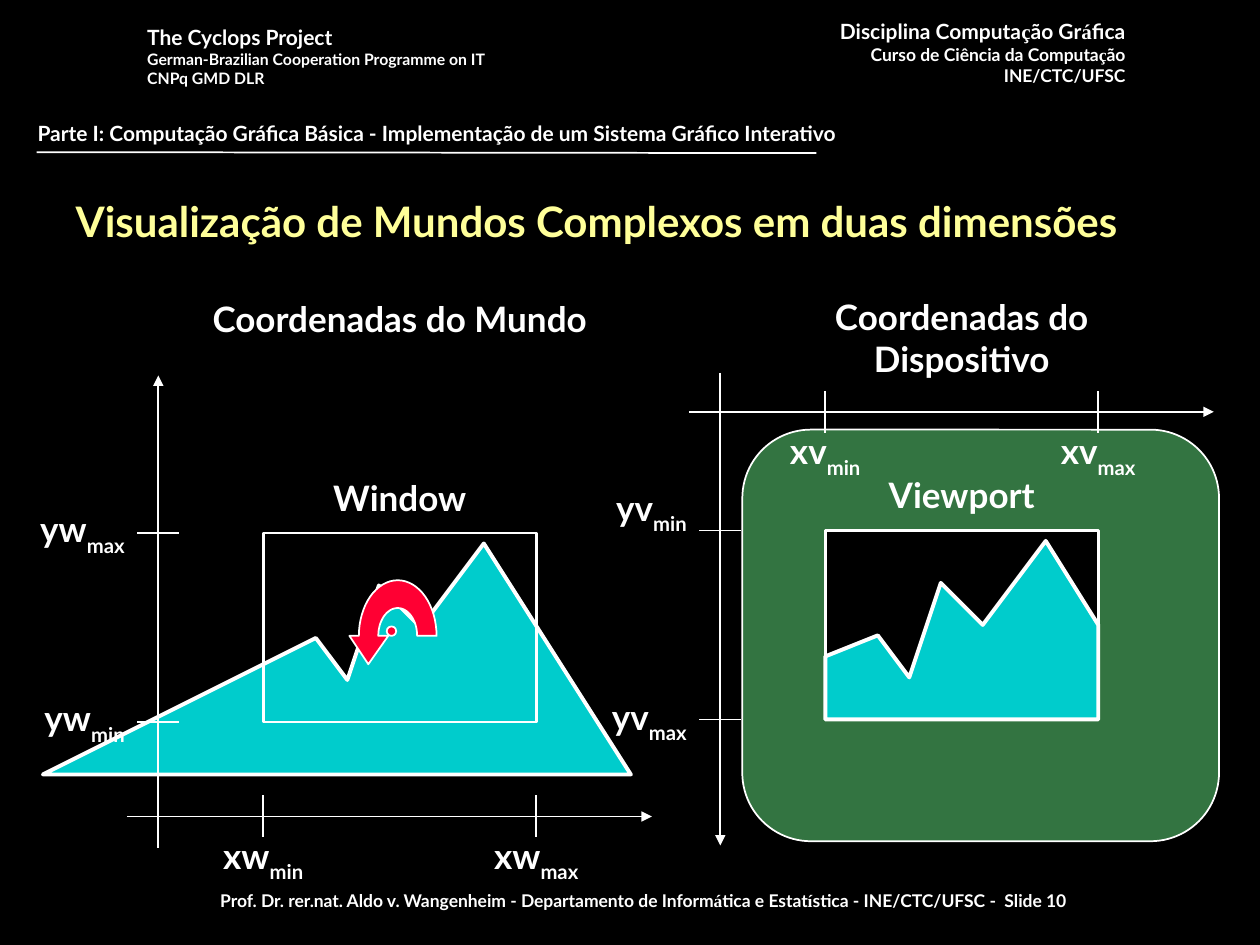
from dataclasses import dataclass
from itertools import groupby
from math import cos, pi, sin

from lxml.etree import SubElement
from pptx import Presentation
from pptx.dml.color import RGBColor
from pptx.enum.shapes import MSO_CONNECTOR as Conn, MSO_SHAPE as Shape
from pptx.enum.text import MSO_ANCHOR as Anchor, PP_ALIGN as Align
from pptx.oxml.ns import qn
from pptx.util import Inches, Pt


@dataclass(frozen=True)
class Theme:
    font: str = "Lato"
    accent_font: str = "Times New Roman"
    back: str = "000000"
    ink: str = "FFFFFF"
    title: str = "FFFF99"
    world: str = "00CCCC"
    screen: str = "66E882"
    arrow: str = "FF0033"
    title_size: float = 24
    label_size: float = 20
    head_size: float = 12
    small_size: float = 10
    tiny_size: float = 9
    thin: float = 1
    frame: float = 1.5
    thick: float = 2.25


@dataclass(frozen=True)
class Grid:
    """Cells of 1/12 inch, counted from a window's top left corner."""
    left: float
    top: float

    def x(self, col):
        return Inches(self.left + col / 12)

    def y(self, row):
        return Inches(self.top + row / 12)

    def box(self, col, row, cols, rows):
        return self.x(col), self.y(row), Inches(cols / 12), Inches(rows / 12)


T = Theme()
WORLD, DEVICE = Grid(2.09, 4.23), Grid(6.55, 4.21)
WIN_COLS, WIN_ROWS = 26, 18
PEAKS = [(5, 10), (8, 14), (11, 5), (15, 9), (21, 1)]


def rgb(value):
    return RGBColor.from_string(value)


def set_font(p, size, color=T.ink):
    p.font.name, p.font.size, p.font.bold = T.font, Pt(size), True
    p.font.color.rgb = rgb(color)


def style(sp, fill, width):
    sp.shadow.inherit = False
    if fill:
        sp.fill.solid()
        sp.fill.fore_color.rgb = rgb(fill)
    else:
        sp.fill.background()
    sp.line.color.rgb = rgb(T.ink)
    sp.line.width = Pt(width)
    return sp


def add_shape(slide, kind, box, fill=None, width=T.thin):
    return style(slide.shapes.add_shape(kind, *box), fill, width)


def add_outline(slide, grid, points, fill, width):
    pts = [(grid.x(c), grid.y(r)) for c, r in points]
    builder = slide.shapes.build_freeform(*pts[0])
    builder.add_line_segments(pts[1:], close=True)
    return style(builder.convert_to_shape(), fill, width)


def add_line(slide, x1, y1, x2, y2, arrow=None):
    ln = slide.shapes.add_connector(Conn.STRAIGHT, x1, y1, x2, y2)
    ln.line.color.rgb = rgb(T.ink)
    ln.line.width = Pt(T.thin)
    props = ln._element.spPr
    if arrow:
        SubElement(props.find(qn("a:ln")), qn(f"a:{arrow}"), type="triangle")
    SubElement(props, qn("a:effectLst"))


def add_text(slide, box, lines, align=Align.LEFT, wrap=False, accents="", before=None):
    """Write (text, size) lines; characters in accents take the accent font."""
    tf = slide.shapes.add_textbox(*box).text_frame
    tf.word_wrap = wrap
    for i, (text, size) in enumerate(lines):
        p = tf.add_paragraph() if i else tf.paragraphs[0]
        p.alignment = align
        if before is not None:
            p.space_before = Pt(before)
        set_font(p, size)
        for accented, chars in groupby(text, lambda ch: ch in accents):
            r = p.add_run()
            r.text = "".join(chars)
            if accented:
                r.font.name = T.accent_font
    return tf


def add_label(slide, box, name, sub="", align=Align.CENTER):
    p = add_text(slide, box, [(name, T.label_size)], align).paragraphs[0]
    if sub:
        r = p.add_run()
        r.text = sub
        r.font._element.set("baseline", "-30000")


def add_page_frame(slide, w, h):
    def share(x, y, cx, cy):
        return int(x * w), int(y * h), int(cx * w), int(cy * h)

    add_text(slide, share(.631, .013, .272, .085),
             [("Disciplina Computação Gráfica", T.head_size),
              ("Curso de Ciência da Computação", T.small_size),
              ("INE/CTC/UFSC", T.small_size)], Align.RIGHT, accents="çá")
    add_text(slide, share(.107, .019, .321, .08),
             [("The Cyclops Project", T.head_size),
              ("German-Brazilian Cooperation Programme on IT", T.tiny_size),
              ("CNPq GMD DLR", T.tiny_size)])
    add_text(slide, share(.069, .935, .883, .039),
             [("Prof. Dr. rer.nat. Aldo v. Wangenheim - Departamento de Informática e "
               "Estatística - INE/CTC/UFSC -  Slide 10", T.small_size)],
             Align.CENTER, wrap=True, accents="áí", before=6.2)
    add_line(slide, *share(.029, .161, .648, .162))
    add_text(slide, share(.02, .121, .95, .04),
             [("Parte I: Computação Gráfica Básica - Implementação de um Sistema "
               "Gráfico Interativo", T.head_size)], wrap=True)

    # Title
    sp = slide.shapes.title
    sp.left, sp.top, sp.width, sp.height = share(.05, .173, .92, .12)
    tf = sp.text_frame
    tf.text = "Visualização de Mundos Complexos em duas dimensões"
    tf.vertical_anchor = Anchor.MIDDLE
    tf.paragraphs[0].alignment = Align.LEFT
    set_font(tf.paragraphs[0], T.title_size, T.title)


def add_axes(slide, g, axis_row, y_arrow):
    add_line(slide, g.x(-10), g.y(-15), g.x(-10), g.y(30), y_arrow)
    add_line(slide, g.x(-13), g.y(axis_row), g.x(37), g.y(axis_row), "tailEnd")
    for col in (0, WIN_COLS):
        add_line(slide, g.x(col), g.y(axis_row - 2), g.x(col), g.y(axis_row + 2))
    for row in (0, WIN_ROWS):
        add_line(slide, g.x(-12), g.y(row), g.x(-8), g.y(row))


def add_labels(slide, g, heading, frame, letter, x_row, y_labels):
    add_label(slide, g.box(-8, -23, 42, 5.3), heading)
    add_label(slide, g.box(4, -6, 18, 5.3), frame)
    for col, sub in ((0, "min"), (WIN_COLS, "max")):
        add_label(slide, g.box(col - 5.5, x_row, 11, 6), "x" + letter, sub)
    for row, sub in y_labels:
        add_label(slide, g.box(-23, row, 11, 6), "y" + letter, sub, Align.RIGHT)


def add_rotation(slide, g):
    """Half-ring arrow around its pivot dot."""
    cx, cy, rx, ry = 12.8, 9.8, 3.7, 5.3
    angles = [pi * i / 32 for i in range(33)]
    inner = [(cx - rx / 2 * cos(a), cy - ry / 2 * sin(a)) for a in angles]
    outer = [(cx + rx * cos(a), cy - ry * sin(a)) for a in angles]
    head = [(8.2, cy), (10, 12.5), (11.9, cy)]
    add_shape(slide, Shape.OVAL, g.box(11.75, 8.9, .9, .9), T.arrow)
    add_outline(slide, g, inner + outer + head, T.arrow, T.thin)


def main():
    prs = Presentation()
    prs.slide_width, prs.slide_height = Inches(10), Inches(7.5)
    slide = prs.slides.add_slide(prs.slide_layouts[5])
    slide.background.fill.solid()
    slide.background.fill.fore_color.rgb = rgb(T.back)
    add_page_frame(slide, prs.slide_width, prs.slide_height)
    window = (0, 0, WIN_COLS, WIN_ROWS)

    # Device: translucent screen, viewport and clipped mountains
    screen = add_shape(slide, Shape.ROUNDED_RECTANGLE,
                       DEVICE.box(-7.9, -9.6, 45.4, 39.2), T.screen)
    color = screen._element.spPr.find(qn("a:solidFill"))[0]
    SubElement(color, qn("a:alpha"), val="50000")
    add_axes(slide, DEVICE, -11.3, "tailEnd")
    add_shape(slide, Shape.RECTANGLE, DEVICE.box(*window), T.back, T.frame)
    clipped = [(26, 18), (0, 18), (0, 12), *PEAKS, (26, 9)]
    add_outline(slide, DEVICE, clipped, T.world, T.thick)
    add_labels(slide, DEVICE, "Coordenadas do Dispositivo", "Viewport", "v",
               -10.2, [(-4.8, "min"), (15.1, "max")])

    # World: whole mountains under the window
    add_outline(slide, WORLD, [(35, 23), (-21, 23), *PEAKS], T.world, T.thick)
    add_shape(slide, Shape.RECTANGLE, WORLD.box(*window), width=T.frame)
    add_axes(slide, WORLD, 27, "headEnd")
    add_labels(slide, WORLD, "Coordenadas do Mundo", "Window", "w",
               28.1, [(-3, "max"), (15, "min")])
    add_rotation(slide, WORLD)

    prs.save("out.pptx")


if __name__ == "__main__":
    main()
